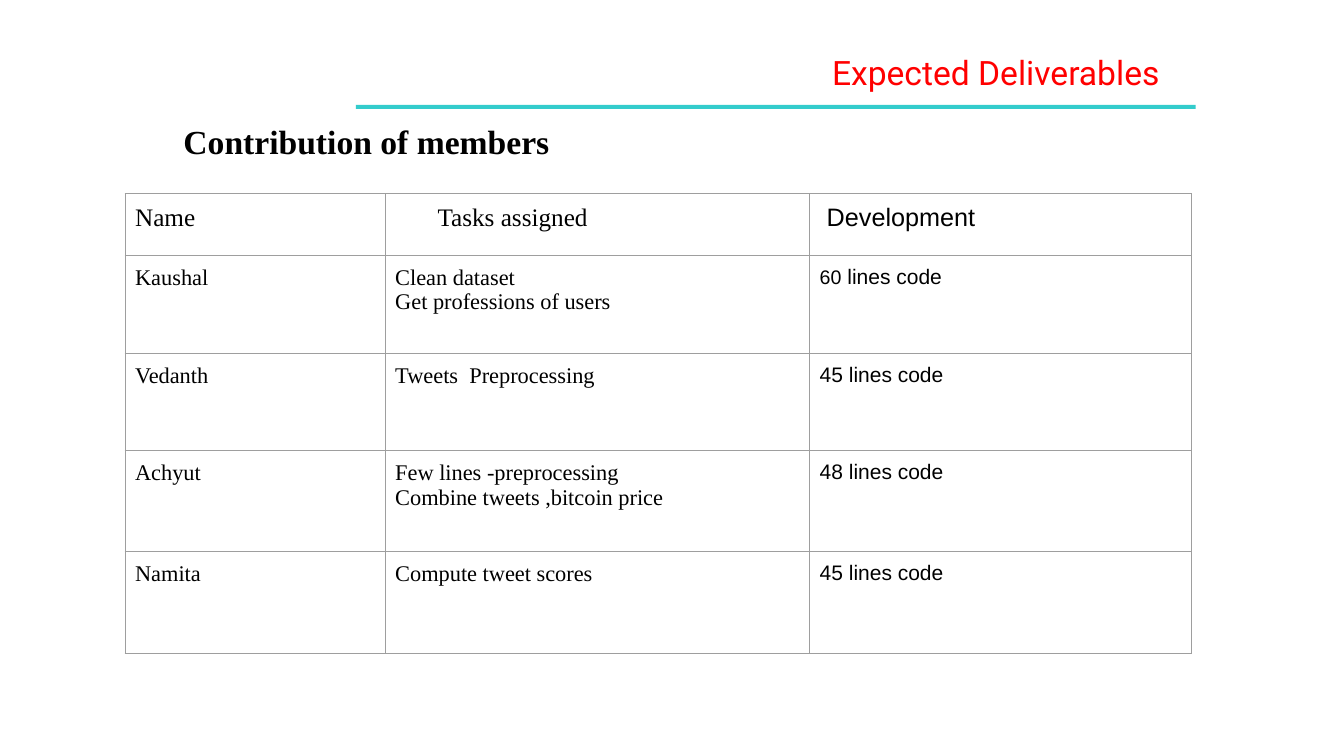
from dataclasses import dataclass

from lxml import etree
from pptx import Presentation
from pptx.dml.color import RGBColor
from pptx.enum.shapes import MSO_SHAPE
from pptx.enum.text import MSO_ANCHOR, MSO_AUTO_SIZE, PP_ALIGN
from pptx.oxml.ns import qn
from pptx.util import Inches, Pt

RECTANGLE = MSO_SHAPE.RECTANGLE
TOP = MSO_ANCHOR.TOP
NO_AUTOFIT = MSO_AUTO_SIZE.NONE
LEFT, RIGHT = PP_ALIGN.LEFT, PP_ALIGN.RIGHT
TITLE_ONLY = 5


@dataclass(frozen=True)
class Theme:
    title_color: str = "FF0000"
    text_color: str = "000000"
    rule_color: str = "33CCCC"
    border_color: str = "9E9E9E"
    title_font: str = "Roboto"
    serif: str = "Times New Roman"
    sans: str = "Arial"
    heading_size: float = 24
    header_size: float = 18
    task_size: float = 16
    code_size: float = 15
    small_size: float = 14
    border_width: float = 0.75


@dataclass(frozen=True)
class Column:
    header: str
    width: float
    header_font: str
    body_font: str
    body_size: float
    header_indent: float = 0


@dataclass(frozen=True)
class Member:
    name: str
    tasks: str
    code: str
    row_height: float


THEME = Theme()
COLUMNS = [
    Column("Name", 2.58, THEME.serif, THEME.serif, THEME.task_size),
    Column("Tasks assigned", 4.21, THEME.serif, THEME.serif, THEME.task_size, 0.42),
    Column("Development", 3.79, THEME.sans, THEME.sans, THEME.code_size, 0.07),
]
HEADER_HEIGHT = 0.61
MEMBERS = [
    Member("Kaushal", "Clean dataset\nGet professions of users", "60 lines code", 0.98),
    Member("Vedanth", "Tweets  Preprocessing", "45 lines code", 0.96),
    Member("Achyut", "Few lines -preprocessing\nCombine tweets ,bitcoin price",
           "48 lines code", 1),
    Member("Namita", "Compute tweet scores", "45 lines code", 1.01),
]


def format_text(frame, font: str, size: float, color: str = THEME.text_color,
                bold: bool = False, align=LEFT) -> None:
    for paragraph in frame.paragraphs:
        paragraph.alignment = align
        paragraph.font.name = font
        paragraph.font.size = Pt(size)
        paragraph.font.bold = bold
        paragraph.font.color.rgb = RGBColor.from_string(color)


def set_heading(shape, text: str, left: float, top: float, width: float,
                height: float, indent: float = 0) -> None:
    shape.left, shape.top = Inches(left), Inches(top)
    shape.width, shape.height = Inches(width), Inches(height)
    frame = shape.text_frame
    frame.text = text
    frame.word_wrap = True
    frame.auto_size = NO_AUTOFIT
    frame.vertical_anchor = TOP
    frame.margin_left, frame.margin_right = Inches(0.1 + indent), Inches(0.1)
    frame.margin_top = frame.margin_bottom = Inches(0.05)


def add_borders(cell) -> None:
    properties = cell._tc.get_or_add_tcPr()
    for position, side in enumerate(("a:lnL", "a:lnR", "a:lnT", "a:lnB")):
        line = etree.Element(qn(side), w=str(Pt(THEME.border_width)))
        fill = etree.SubElement(line, qn("a:solidFill"))
        etree.SubElement(fill, qn("a:srgbClr"), val=THEME.border_color)
        properties.insert(position, line)


def fill_cell(cell, text: str, font: str, size: float, indent: float = 0) -> None:
    cell.text = text
    cell.margin_left = Inches(0.1 + indent)
    cell.margin_right = cell.margin_top = cell.margin_bottom = Inches(0.1)
    cell.vertical_anchor = TOP
    cell.fill.background()
    format_text(cell.text_frame, font, size)
    add_borders(cell)


presentation = Presentation()
presentation.slide_width, presentation.slide_height = Inches(13.33), Inches(7.5)
slide = presentation.slides.add_slide(presentation.slide_layouts[TITLE_ONLY])

# Title and the rule below it
title = slide.shapes.title
set_heading(title, "Expected Deliverables", 3.1, 0.46, 8.5, 0.5)
format_text(title.text_frame, THEME.title_font, THEME.heading_size,
            THEME.title_color, align=RIGHT)

title_rule = slide.shapes.add_shape(
    RECTANGLE, Inches(3.53), Inches(1.04), Inches(8.33), Inches(0.04))
title_rule.shadow.inherit = False
title_rule.fill.solid()
title_rule.fill.fore_color.rgb = RGBColor.from_string(THEME.rule_color)
title_rule.line.fill.background()

# Subheading
subheading = slide.shapes.add_textbox(0, 0, 0, 0)
set_heading(subheading, "Contribution of members", 1.06, 1.15, 10.77, 0.55, indent=0.66)
format_text(subheading.text_frame, THEME.serif, THEME.heading_size, bold=True)

# Contributions table
row_heights = [HEADER_HEIGHT] + [member.row_height for member in MEMBERS]
contributions = slide.shapes.add_table(
    len(row_heights), len(COLUMNS), Inches(1.24), Inches(1.92),
    Inches(sum(column.width for column in COLUMNS)), Inches(sum(row_heights))).table
contributions.first_row = False
contributions.horz_banding = False
for row, height in zip(contributions.rows, row_heights):
    row.height = Inches(height)

for column_index, column in enumerate(COLUMNS):
    contributions.columns[column_index].width = Inches(column.width)
    fill_cell(contributions.cell(0, column_index), column.header,
              column.header_font, THEME.header_size, column.header_indent)

for row_index, member in enumerate(MEMBERS, start=1):
    entries = (member.name, member.tasks, member.code)
    for column_index, (column, entry) in enumerate(zip(COLUMNS, entries)):
        fill_cell(contributions.cell(row_index, column_index), entry,
                  column.body_font, column.body_size)

# The first line count is set slightly smaller than its unit
first_count = contributions.cell(1, 2).text_frame.paragraphs[0]
count, unit = first_count.runs[0].text.split(" ", 1)
first_count.runs[0].text = count
first_count.runs[0].font.size = Pt(THEME.small_size)
first_count.add_run().text = f" {unit}"

presentation.save("out.pptx")
